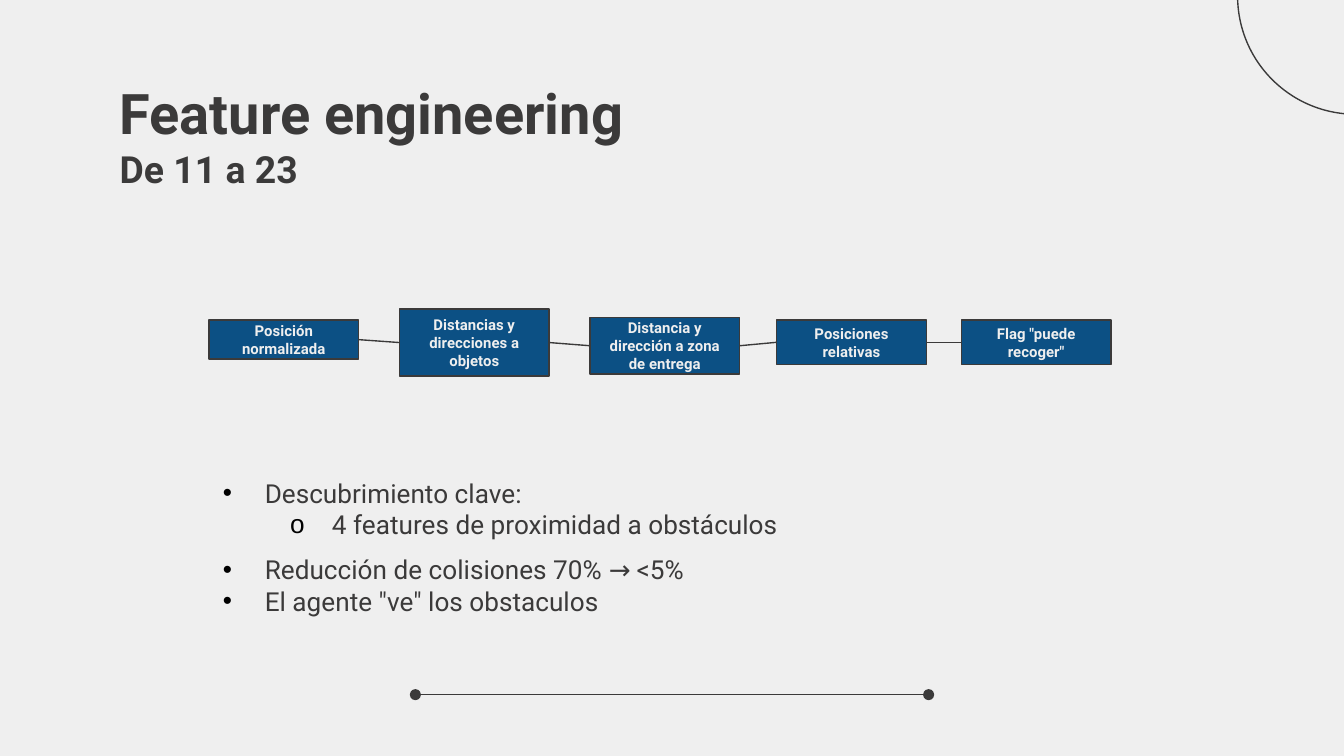
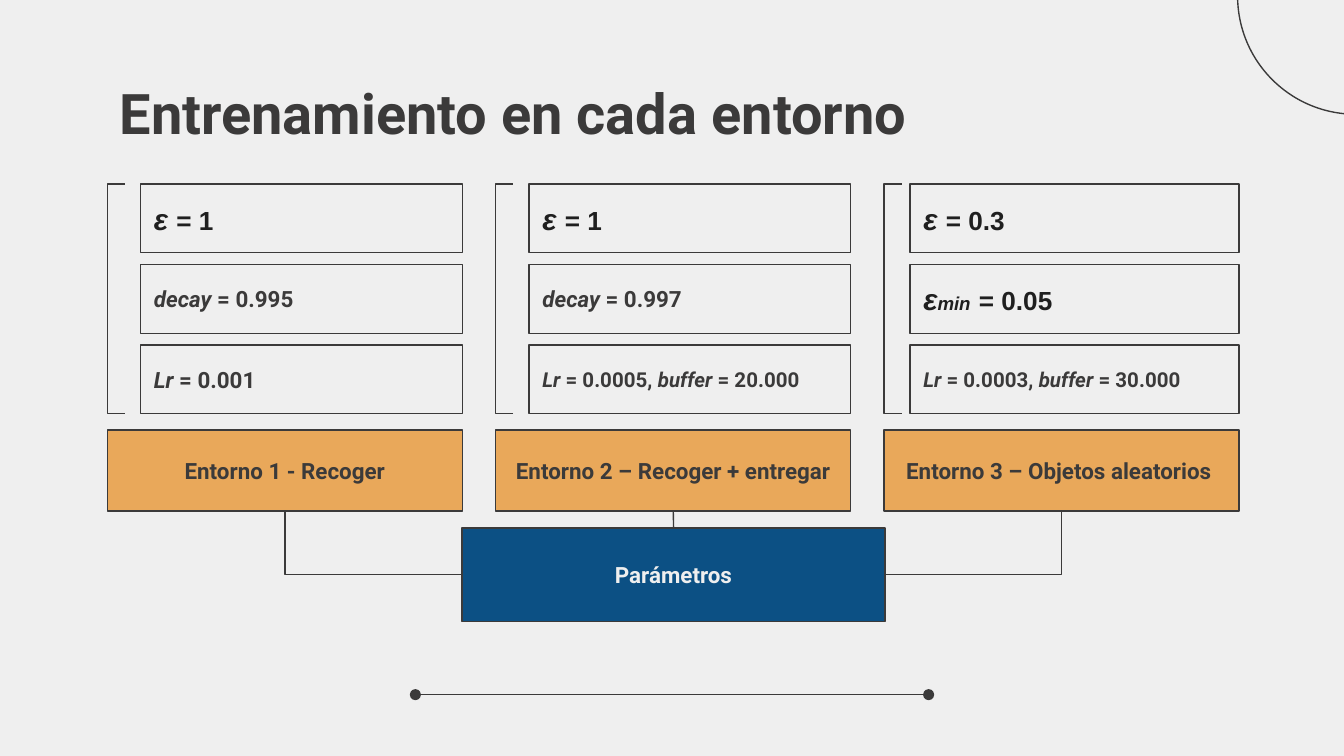
from dataclasses import dataclass

from lxml.etree import SubElement
from pptx import Presentation
from pptx.dml.color import RGBColor
from pptx.enum.shapes import MSO_CONNECTOR, MSO_SHAPE
from pptx.enum.text import MSO_ANCHOR, MSO_AUTO_SIZE, PP_ALIGN
from pptx.oxml.ns import qn
from pptx.util import Cm, Pt


@dataclass(frozen=True)
class Theme:
    background: RGBColor = RGBColor.from_string("EFEFEF")
    ink: RGBColor = RGBColor.from_string("3B3A3A")
    formula_ink: RGBColor = RGBColor.from_string("1F1F1F")
    blue: RGBColor = RGBColor.from_string("0C5084")
    orange: RGBColor = RGBColor.from_string("E9A85A")
    font: str = "Roboto"
    formula_font: str = "Arial"
    title_size: int = 30
    subtitle_size: int = 20
    list_size: int = 14
    label_size: int = 12
    feature_size: int = 8
    outline: float = 0.75


theme = Theme()


def add_box(slide, kind, left, top, width, height, fill=None, inset=0.05, text="", size=None):
    """Add an outlined shape in cm; text is centred, light on blue and dark elsewhere."""
    shape = slide.shapes.add_shape(kind, Cm(left), Cm(top), Cm(width), Cm(height))
    shape.shadow.inherit = False
    shape.line.color.rgb = theme.ink
    shape.line.width = Pt(theme.outline)
    if fill is None:
        shape.fill.background()
    else:
        shape.fill.solid()
        shape.fill.fore_color.rgb = fill
    frame = shape.text_frame
    frame.word_wrap = True
    frame.vertical_anchor = MSO_ANCHOR.MIDDLE
    frame.margin_left = frame.margin_right = Cm(0.25)
    frame.margin_top = frame.margin_bottom = Cm(inset)
    if text:
        paragraph = frame.paragraphs[0]
        paragraph.text = text
        paragraph.alignment = PP_ALIGN.CENTER
        paragraph.font.name = theme.font
        paragraph.font.size = Pt(size)
        paragraph.font.bold = True
        paragraph.font.color.rgb = theme.background if fill == theme.blue else theme.ink
    return shape


def add_line(slide, kind, start=(0, 0), end=(0, 0)):
    """Add a thin connector without shadow, between two points in cm."""
    connector = slide.shapes.add_connector(kind, Cm(start[0]), Cm(start[1]), Cm(end[0]), Cm(end[1]))
    connector.line.color.rgb = theme.ink
    connector.line.width = Pt(theme.outline)
    SubElement(connector.element.spPr, qn("a:effectLst"))
    return connector


presentation = Presentation()
presentation.slide_width = Cm(25.4)
presentation.slide_height = Cm(14.29)
two_lists_layout = presentation.slide_layouts[3]
title_only_layout = presentation.slide_layouts[5]
features_slide = presentation.slides.add_slide(two_lists_layout)
training_slide = presentation.slides.add_slide(title_only_layout)

# Shared background, corner circle and footer line, kept on the master
master = presentation.slide_master
master.background.fill.solid()
master.background.fill.fore_color.rgb = theme.background

circle = add_box(features_slide, MSO_SHAPE.OVAL, 23.39, -2.31, 4.47, 4.47)
footer_line = add_line(features_slide, MSO_CONNECTOR.STRAIGHT, (7.85, 13.13), (17.55, 13.13))
line_properties = footer_line.element.spPr.find(qn("a:ln"))
for end_name in ("a:headEnd", "a:tailEnd"):
    SubElement(line_properties, qn(end_name), type="oval")
for shape_id, shape in enumerate((circle, footer_line), start=20):
    shape.element.xpath(".//p:cNvPr")[0].set("id", str(shape_id))
    master.shapes.element.append(shape.element)

# Titles
titles = [
    (features_slide, "Feature engineering", "De 11 a 23"),
    (training_slide, "Entrenamiento en cada entorno", ""),
]
for slide, heading, subtitle in titles:
    title = slide.shapes.title
    title.left, title.top, title.width, title.height = Cm(2.01), Cm(1.24), Cm(21.41), Cm(1.6)
    frame = title.text_frame
    frame.auto_size = MSO_AUTO_SIZE.NONE
    frame.vertical_anchor = MSO_ANCHOR.TOP
    frame.margin_left = frame.margin_right = Cm(0.25)
    frame.margin_top = frame.margin_bottom = Cm(0.25)
    paragraph = frame.paragraphs[0]
    paragraph.alignment = PP_ALIGN.LEFT
    paragraph.font.name = theme.font
    paragraph.font.bold = True
    paragraph.font.color.rgb = theme.ink
    run = paragraph.add_run()
    run.text = heading
    run.font.size = Pt(theme.title_size)
    if subtitle:
        paragraph.add_line_break()
        run = paragraph.add_run()
        run.text = subtitle
        run.font.size = Pt(theme.subtitle_size)

# Slide 1: chain of features
features = [
    ("Posición normalizada", 3.95, 6.05, 0.74),
    ("Distancias y direcciones a objetos", 7.55, 5.84, 1.27),
    ("Distancia y dirección a zona de entrega", 11.15, 6.0, 1.07),
    ("Posiciones relativas", 14.68, 6.05, 0.84),
    ('Flag "puede recoger"', 18.17, 6.05, 0.84),
]
feature_boxes = [
    add_box(features_slide, MSO_SHAPE.RECTANGLE, left, top, 2.83, height,
            theme.blue, 0.25, text, theme.feature_size)
    for text, left, top, height in features
]
for previous_box, next_box in zip(feature_boxes, feature_boxes[1:]):
    connector = add_line(features_slide, MSO_CONNECTOR.STRAIGHT)
    connector.begin_connect(previous_box, 3)
    connector.end_connect(next_box, 1)

# Slide 1: findings, as (level, text)
findings = [
    [(0, "Descubrimiento clave:"), (1, "4 features de proximidad a obstáculos")],
    [(0, "Reducción de colisiones 70% → <5%"), (0, 'El agente "ve" los obstaculos')],
]
for index, items in enumerate(findings):
    body = features_slide.placeholders[index + 1]
    body.left, body.top = Cm(3.96), Cm(8.89 + 1.45 * index)
    body.width, body.height = Cm(13.26), Cm(1.45)
    frame = body.text_frame
    frame.auto_size = MSO_AUTO_SIZE.SHAPE_TO_FIT_TEXT
    frame.text = "\n".join(text for _, text in items)
    for paragraph, (level, _) in zip(frame.paragraphs, items):
        paragraph.level = level
        paragraph.space_before = Pt(0)
        properties = paragraph._p.get_or_add_pPr()
        properties.set("marL", str(Cm((0.79, 2.06)[level])))
        properties.set("indent", str(Cm(-0.79)))
        bullet_color = SubElement(properties, qn("a:buClr"))
        SubElement(bullet_color, qn("a:srgbClr"), val="000000")
        SubElement(properties, qn("a:buFont"), typeface=theme.formula_font)
        SubElement(properties, qn("a:buChar"), char="•o"[level])
        paragraph.font.name = theme.font
        paragraph.font.size = Pt(theme.list_size)
        paragraph.font.color.rgb = theme.ink

# Slide 2: one column per environment; card runs are (text, size, italic)
environments = [
    ("Entorno 1 - Recoger", 6.08, [
        [("ε ", 16, True), ("= 1", 14, False)],
        [("decay", 12, True), (" = 0.995", 12, False)],
        [("Lr", 12, True), (" = 0.001", 12, False)],
    ]),
    ("Entorno 2 – Recoger + entregar", 6.08, [
        [("ε ", 16, True), ("= 1", 14, False)],
        [("decay", 12, True), (" = 0.997", 12, False)],
        [("Lr", 11, True), (" = 0.0005, ", 11, False), ("buffer", 11, True), (" = 20.000", 11, False)],
    ]),
    ("Entorno 3 – Objetos aleatorios ", 6.22, [
        [("ε ", 16, True), ("= 0.3", 14, False)],
        [("ε", 16, True), ("min", 10, True), (" ", 16, True), ("= 0.05", 14, False)],
        [("Lr", 11, True), (" = 0.0003, ", 11, False), ("buffer", 11, True), (" = 30.000", 11, False)],
    ]),
]
column_width, column_pitch = 6.71, 7.34
cards_top, card_height, card_pitch = 3.48, 1.3, 1.52

parameters_box = add_box(training_slide, MSO_SHAPE.RECTANGLE, 8.73, 9.98, 8, 1.77,
                         theme.blue, 0.13, "Parámetros", theme.label_size)
for column, (name, card_width, cards) in enumerate(environments):
    left = 2.03 + column * column_pitch
    bracket = add_box(training_slide, MSO_SHAPE.LEFT_BRACKET, left, cards_top, 0.33,
                      2 * card_pitch + card_height)
    bracket.adjustments[0] = 0
    for row, runs in enumerate(cards):
        card = add_box(training_slide, MSO_SHAPE.RECTANGLE, left + column_width - card_width,
                       cards_top + row * card_pitch, card_width, card_height)
        is_formula = runs[0][0].startswith("ε")
        paragraph = card.text_frame.paragraphs[0]
        paragraph.alignment = PP_ALIGN.LEFT
        paragraph.font.name = theme.formula_font if is_formula else theme.font
        paragraph.font.color.rgb = theme.formula_ink if is_formula else theme.ink
        paragraph.font.bold = True
        for text, size, italic in runs:
            run = paragraph.add_run()
            run.text = text
            run.font.size = Pt(size)
            run.font.italic = italic
    environment_box = add_box(training_slide, MSO_SHAPE.RECTANGLE, left, 8.13, column_width, 1.53,
                              theme.orange, 0.05, name, theme.label_size)

    is_middle = column == 1
    connector = add_line(training_slide, MSO_CONNECTOR.STRAIGHT if is_middle else MSO_CONNECTOR.ELBOW)
    connector.begin_connect(parameters_box, (1, 0, 3)[column])
    connector.end_connect(environment_box, 2)
    if not is_middle:
        connector.element.spPr.find(qn("a:prstGeom")).set("prst", "bentConnector2")

presentation.save("out.pptx")
